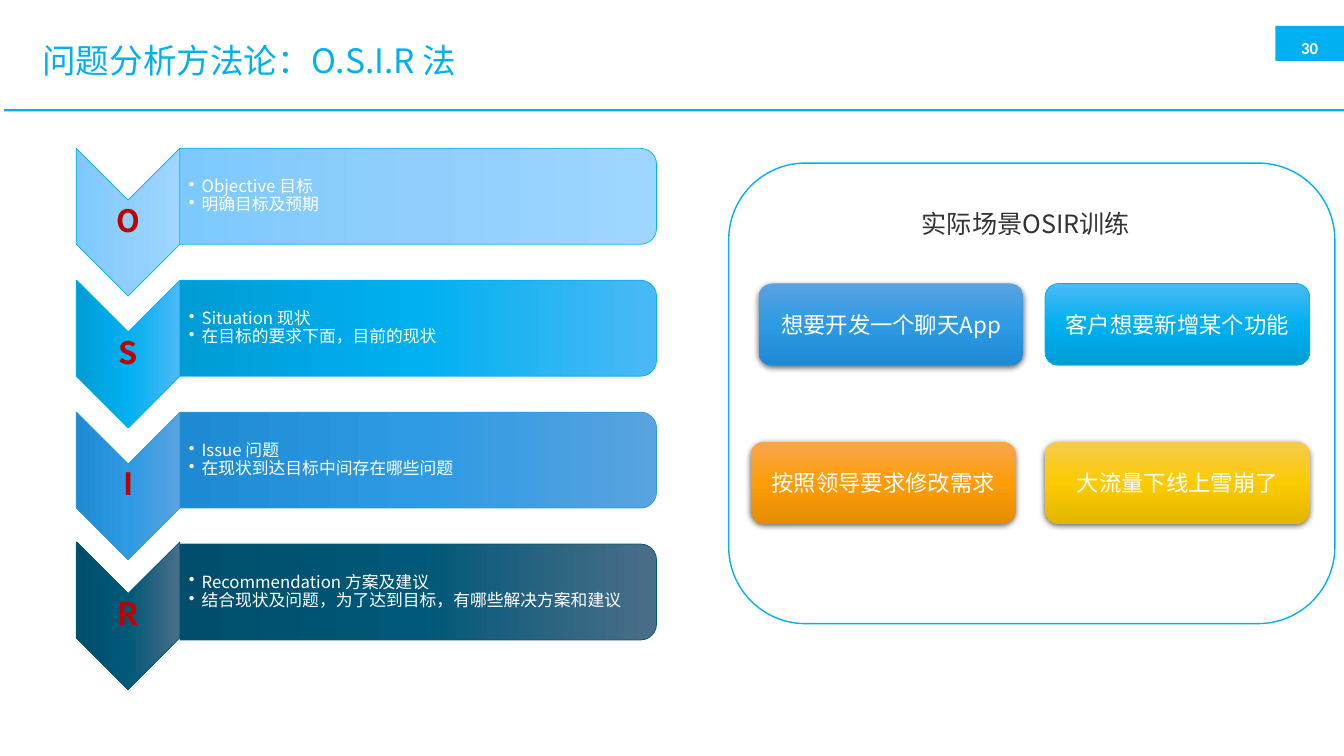
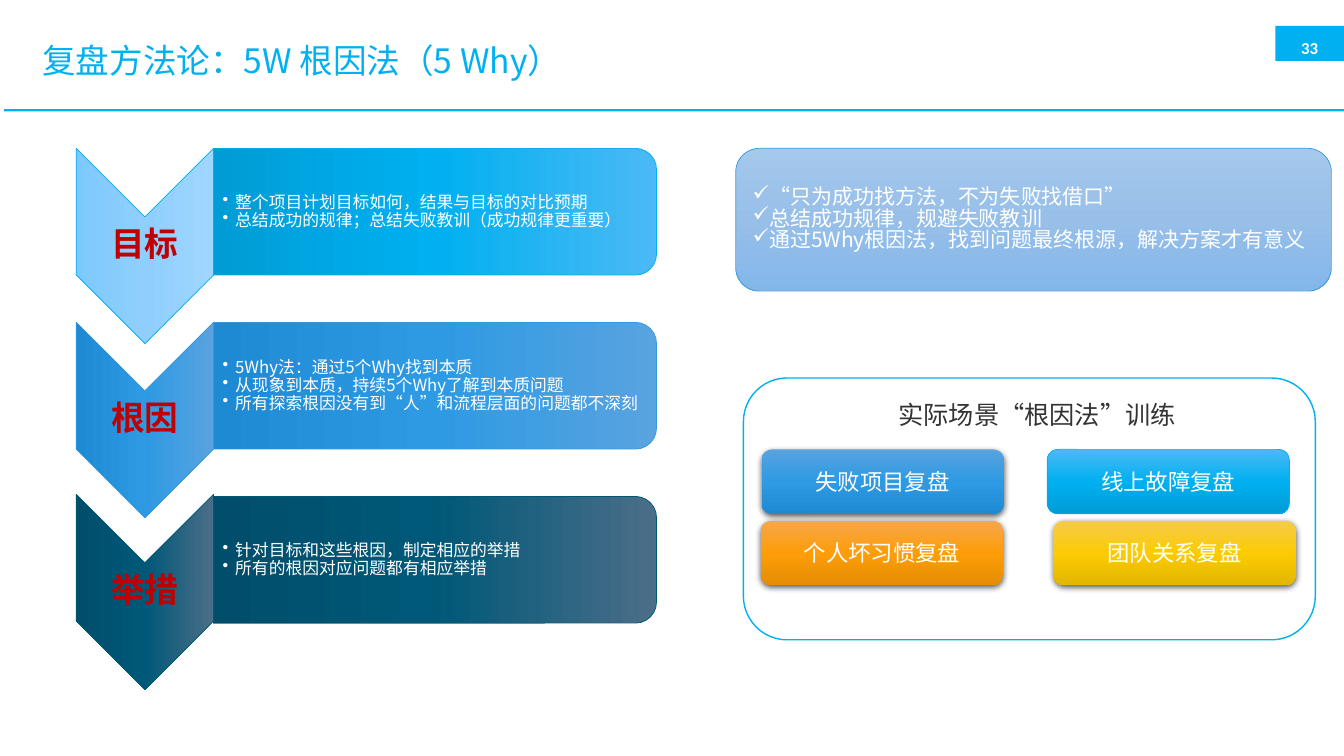
from lxml.etree import SubElement
from pptx import Presentation
from pptx.dml.color import RGBColor
from pptx.enum.shapes import MSO_SHAPE
from pptx.enum.text import MSO_ANCHOR, MSO_AUTO_SIZE, PP_ALIGN
from pptx.oxml.ns import qn
from pptx.util import Pt

FONT = "Noto Sans CJK SC"
COLOURS = {"accent": "00B0F0", "blue": "3598DB", "navy": "005878",
           "white": "FFFFFF", "red": "C00000", "ink": "333333"}
GRADIENTS = {
    "pale": ("9ED6FF", "90CFFD", "7CC9FD"),
    "sky": ("4BB9F5", "00B0F0", "009CD5"),
    "blue": ("59A3E0", "2D9AE3", "1E8AD3"),
    "navy": ("4B6E88", "005878", "004E6B"),
    "orange": ("F7A64D", "FE9D08", "E58D04"),
    "yellow": ("F5CB4C", "FCCB03", "E3B600"),
    "mist": ("A5C8ED", "97BFE8", "83B7EA"),
}
OUTLINES = {"pale": "accent", "sky": "accent", "blue": "blue",
            "navy": "navy", "mist": "blue"}
LADDER_LEFT, LADDER_RIGHT, LADDER_TOP = 54.5, 469, 106
LAST_RISE = 1.5

OSIR_STEPS = [
    ("O", "pale", "pale", ["Objective 目标", "明确目标及预期"]),
    ("S", "sky", "sky", ["Situation 现状", "在目标的要求下面，目前的现状"]),
    ("I", "blue", "blue", ["Issue 问题", "在现状到达目标中间存在哪些问题"]),
    ("R", "navy", "navy", ["Recommendation 方案及建议",
                           "结合现状及问题，为了达到目标，有哪些解决方案和建议"]),
]
WHY_STEPS = [
    ("目标", "pale", "sky", ["整个项目计划目标如何，结果与目标的对比预期",
                           "总结成功的规律；总结失败教训（成功规律更重要）"]),
    ("根因", "blue", "blue", ["5Why法：通过5个Why找到本质",
                            "从现象到本质，持续5个Why了解到本质问题",
                            "所有探索根因没有到“人”和流程层面的问题都不深刻"]),
    ("举措", "navy", "navy", ["针对目标和这些根因，制定相应的举措",
                            "所有的根因对应问题都有相应举措"]),
]
LESSONS = ["“只为成功找方法，不为失败找借口”", "总结成功规律，规避失败教训",
           "通过5Why根因法，找到问题最终根源，解决方案才有意义"]
OSIR_CASES = [
    ("想要开发一个聊天App", "blue", 542, 202.5),
    ("客户想要新增某个功能", "sky", 746.5, 202.5),
    ("按照领导要求修改需求", "orange", 536.5, 315.5),
    ("大流量下线上雪崩了", "yellow", 746.5, 315.5),
]
WHY_CASES = [
    ("失败项目复盘", "blue", 544, 321),
    ("线上故障复盘", "sky", 748, 321),
    ("个人坏习惯复盘", "orange", 543.5, 372),
    ("团队关系复盘", "yellow", 752.5, 372),
]


def colour(name):
    """Return the named colour."""
    return RGBColor.from_string(COLOURS[name])


def write(shape, lines, size, ink="white", bold=False, align=PP_ALIGN.LEFT,
          anchor=MSO_ANCHOR.MIDDLE, insets=(7.2, 3.6, 7.2, 3.6), spacing=None,
          bullet=None, indent=0, font=FONT):
    """Fill a shape with equally formatted paragraphs."""
    frame = shape.text_frame
    frame.word_wrap = True
    frame.auto_size = MSO_AUTO_SIZE.NONE
    frame.vertical_anchor = anchor
    (frame.margin_left, frame.margin_top,
     frame.margin_right, frame.margin_bottom) = map(Pt, insets)
    frame.text = "\n".join(lines)
    for para in frame.paragraphs:
        para.alignment = align
        para.space_before = Pt(0)
        if spacing:
            para.line_spacing = spacing
        properties = para._p.get_or_add_pPr()
        if bullet:
            properties.set("marL", str(Pt(indent)))
            properties.set("indent", str(-Pt(indent)))
            SubElement(properties, qn("a:buChar"), char=bullet)
        para.font.size = Pt(size)
        para.font.bold = bold
        para.font.color.rgb = colour(ink)
        para.font.name = font
        SubElement(properties.find(qn("a:defRPr")), qn("a:ea"), typeface=font)


def add_text(page, left, top, width, height, lines, size, **style):
    """Add a text box."""
    box = page.shapes.add_textbox(Pt(left), Pt(top), Pt(width), Pt(height))
    write(box, lines, size, **style)


def add_plain(page, kind, left, top, width, height, fill, outline=None):
    """Add a shape with one fill colour."""
    shape = page.shapes.add_shape(kind, Pt(left), Pt(top), Pt(width), Pt(height))
    shape.shadow.inherit = False
    shape.fill.solid()
    shape.fill.fore_color.rgb = colour(fill)
    set_outline(shape, outline, 1)
    return shape


def set_outline(shape, name, width):
    """Draw the outline in a named colour, or hide it."""
    if name:
        shape.line.color.rgb = colour(name)
        shape.line.width = Pt(width)
    else:
        shape.line.fill.background()


def add_glossy(page, kind, left, top, width, height, tone, outlined=True):
    """Add a shape with a three-stop gradient."""
    shape = page.shapes.add_shape(kind, Pt(left), Pt(top), Pt(width), Pt(height))
    shape.shadow.inherit = False
    shape.fill.gradient()
    shape.fill.gradient_angle = 270
    stops = shape._element.spPr.find(".//" + qn("a:gsLst"))
    stops.clear()
    for position, value in zip((0, 50000, 100000), GRADIENTS[tone]):
        stop = SubElement(stops, qn("a:gs"), pos=str(position))
        SubElement(stop, qn("a:srgbClr"), val=value)
    set_outline(shape, OUTLINES.get(tone) if outlined else None, 0.5)
    return shape


def add_turned(page, kind, left, top, width, height, tone):
    """Add a gradient shape turned a quarter so that it fills the given area."""
    shift = (width - height) / 2
    shape = add_glossy(page, kind, left + shift, top - shift, height, width, tone)
    shape.rotation = 90


def cast_shadow(shape):
    """Give a shape a soft shadow below it."""
    effects = shape._element.spPr.find(qn("a:effectLst"))
    shadow = SubElement(effects, qn("a:outerShdw"), blurRad=str(Pt(4.5)),
                        dist=str(Pt(1.5)), dir="5400000", algn="ctr", rotWithShape="0")
    black = SubElement(shadow, qn("a:srgbClr"), val="000000")
    SubElement(black, qn("a:alpha"), val="63000")


def add_page(deck, title, number):
    """Add a slide with its title, page number and rule."""
    page = deck.slides.add_slide(deck.slide_layouts[5])
    band = add_plain(page, MSO_SHAPE.RECTANGLE, 911, 18.5, 49, 25, "accent")
    write(band, [number], 12, bold=True, align=PP_ALIGN.CENTER,
          anchor=MSO_ANCHOR.BOTTOM, insets=(0, 0, 0, 2.5), font="Calibri")
    add_plain(page, MSO_SHAPE.RECTANGLE, 3, 78, 957, 1.5, "accent")
    heading = page.shapes.title
    heading.left, heading.top, heading.width, heading.height = map(Pt, (23, 19.5, 845, 50))
    write(heading, [title], 24, ink="accent", spacing=0.9)
    return page


def add_ladder(page, steps, chevron_width, bar_height, pitch, label_size):
    """Add a column of chevrons, each with a bar of bullets beside it."""
    depth = chevron_width / 2
    bar_left = LADDER_LEFT + chevron_width
    bar_width = LADDER_RIGHT - bar_left
    for index, (label, chevron_tone, bar_tone, points) in enumerate(steps):
        top = LADDER_TOP + index * pitch
        chevron_top = top - LAST_RISE if index == len(steps) - 1 else top
        add_turned(page, MSO_SHAPE.CHEVRON, LADDER_LEFT, chevron_top,
                   chevron_width, bar_height + depth, chevron_tone)
        add_text(page, LADDER_LEFT, chevron_top + depth, chevron_width,
                 bar_height - depth, [label], label_size, ink="red", bold=True,
                 align=PP_ALIGN.CENTER, insets=(1.4,) * 4, spacing=0.9)
        add_turned(page, MSO_SHAPE.ROUND_2_SAME_RECTANGLE, bar_left, top,
                   bar_width, bar_height, bar_tone)
        add_text(page, bar_left, top, bar_width, bar_height, points, 12,
                 insets=(6.5, 0.7, 0.7, 0.7), spacing=0.9, bullet="•", indent=9)


def add_cases(page, panel, heading, heading_area, cases, width, height):
    """Add an outlined panel with a heading and a button for each case."""
    add_plain(page, MSO_SHAPE.ROUNDED_RECTANGLE, *panel, "white", "accent")
    add_text(page, *heading_area, [heading], 18, ink="ink",
             align=PP_ALIGN.CENTER, anchor=MSO_ANCHOR.TOP)
    for label, tone, left, top in cases:
        flat = tone == "sky"
        button = add_glossy(page, MSO_SHAPE.ROUNDED_RECTANGLE, left, top,
                            width, height, tone, outlined=flat)
        if not flat:
            cast_shadow(button)
        write(button, [label], 16, align=PP_ALIGN.CENTER)


def main():
    """Build and save the deck."""
    deck = Presentation()
    deck.slide_width, deck.slide_height = Pt(960), Pt(540)

    page = add_page(deck, "问题分析方法论：O.S.I.R 法", "30")
    add_ladder(page, OSIR_STEPS, 74, 68.5, 94.2, 22)
    add_cases(page, (520.5, 116.5, 433, 329), "实际场景OSIR训练",
              (531.5, 145.5, 402.5, 29), OSIR_CASES, 189, 58.5)

    page = add_page(deck, "复盘方法论：5W 根因法（5 Why）", "33")
    add_ladder(page, WHY_STEPS, 98, 90.5, 124.3, 24)
    add_cases(page, (531, 270, 408.5, 187), "实际场景“根因法”训练",
              (556.5, 281.5, 368.5, 29), WHY_CASES, 173, 46)
    lessons = add_glossy(page, MSO_SHAPE.ROUNDED_RECTANGLE, 525.5, 106, 425.5, 102, "mist")
    write(lessons, LESSONS, 15, spacing=0.85, bullet="✓")

    deck.save("out.pptx")


if __name__ == "__main__":
    main()
